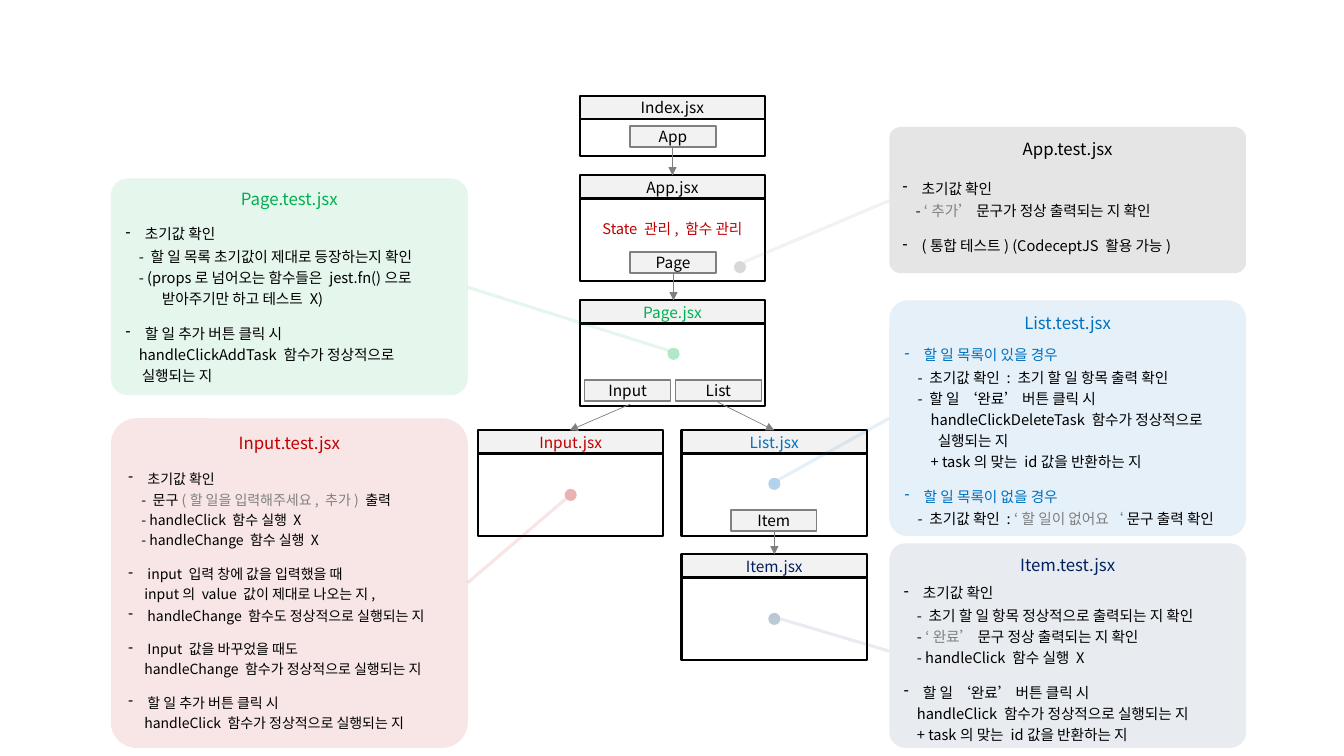
from dataclasses import dataclass
from typing import Optional

import lxml.etree
import pptx
import pptx.dml.color
import pptx.enum.shapes
import pptx.enum.text
import pptx.oxml.ns
import pptx.util

Inches = pptx.util.Inches
Pt = pptx.util.Pt
qn = pptx.oxml.ns.qn
Shapes = pptx.enum.shapes.MSO_SHAPE
Anchor = pptx.enum.text.MSO_ANCHOR
Align = pptx.enum.text.PP_ALIGN


@dataclass(frozen=True)
class Theme:
    font: str = "Noto Sans CJK KR"
    black: str = "000000"
    white: str = "FFFFFF"
    header: str = "F2F2F2"
    gray: str = "808080"
    red: str = "C00000"
    blue: str = "0070C0"
    green: str = "00B050"
    navy: str = "002060"
    steel: str = "1F4E79"
    title: float = 12
    label: float = 11
    body: float = 10.5
    small: float = 10


@dataclass(frozen=True)
class Component:
    name: str
    left: float
    top: float
    color: str
    body_height: float = 0.82
    note: str = ""


@dataclass(frozen=True)
class Chip:
    name: str
    left: float
    top: float


@dataclass(frozen=True)
class Row:
    text: str
    before: float = 0
    indent: float = 0.13
    bullet: bool = False
    color: str = "000000"


@dataclass(frozen=True)
class Panel:
    name: str
    left: float
    top: float
    height: float
    title_top: float
    rows_top: float
    title_color: str
    tint: str
    rows: tuple[Row, ...]
    size: float = 10.5
    pitch: float = 15


@dataclass(frozen=True)
class Callout:
    color: str
    dot: tuple[float, float]
    start: tuple[float, float]
    end: tuple[float, float]


THEME = Theme()
BOX_WIDTH, HEADER_HEIGHT = 1.84, 0.23
CHIP_WIDTH, CHIP_HEIGHT = 0.85, 0.21
PANEL_WIDTH, CORNER, DOT = 3.54, 0.078, 0.12
LEFT, RIGHT, CENTER, LIST_LEFT = 1.1, 8.82, 5.75, 6.76


def rgb(color: str) -> pptx.dml.color.RGBColor:
    return pptx.dml.color.RGBColor.from_string(color)


def head(text: str, before: float = 0, color: str = THEME.black) -> Row:
    return Row(text, before, 0.19, True, color)


def set_alpha(shape, percent: int) -> None:
    color = shape._element.spPr.find(".//" + qn("a:srgbClr"))
    lxml.etree.SubElement(color, qn("a:alpha"), val=str(percent * 1000))


def write(paragraph, text: str, *, size: float, color: str = THEME.black,
          align=Align.CENTER) -> None:
    paragraph.alignment = align
    for index, part in enumerate(text.split("|")):
        run = paragraph.add_run()
        run.text = part
        run.font.size = Pt(size)
        run.font.name = THEME.font
        run.font.color.rgb = rgb(THEME.gray if index % 2 else color)
        lxml.etree.SubElement(run._r.get_or_add_rPr(), qn("a:ea"), typeface=THEME.font)


def add_shape(slide, kind, left: float, top: float, width: float, height: float, *,
              fill: str, line: Optional[str] = None, weight: float = 1.5, alpha: int = 100):
    shape = slide.shapes.add_shape(kind, Inches(left), Inches(top), Inches(width), Inches(height))
    shape.shadow.inherit = False
    shape.fill.solid()
    shape.fill.fore_color.rgb = rgb(fill)
    if line:
        shape.line.color.rgb = rgb(line)
        shape.line.width = Pt(weight)
    else:
        shape.line.fill.background()
    if alpha < 100:
        set_alpha(shape, alpha)
    frame = shape.text_frame
    frame.word_wrap = True
    frame.vertical_anchor = Anchor.MIDDLE
    frame.margin_top = frame.margin_bottom = 0
    return shape


def add_line(slide, start, end, *, color: str, weight: float):
    line = slide.shapes.add_connector(pptx.enum.shapes.MSO_CONNECTOR.STRAIGHT,
                                      *map(Inches, start), *map(Inches, end))
    line.line.color.rgb = rgb(color)
    line.line.width = Pt(weight)
    lxml.etree.SubElement(line._element.spPr, qn("a:effectLst"))
    return line


def draw_component(slide, item: Component) -> None:
    header = add_shape(slide, Shapes.RECTANGLE, item.left, item.top, BOX_WIDTH, HEADER_HEIGHT,
                       fill=THEME.header, line=THEME.black)
    write(header.text_frame.paragraphs[0], item.name, size=THEME.label, color=item.color)
    body = add_shape(slide, Shapes.RECTANGLE, item.left, item.top + HEADER_HEIGHT, BOX_WIDTH,
                     item.body_height, fill=THEME.white, line=THEME.black)
    if item.note:
        body.text_frame.margin_bottom = Inches(0.22)
        write(body.text_frame.paragraphs[0], item.note, size=THEME.body, color=THEME.red)


def draw_chip(slide, chip: Chip) -> None:
    shape = add_shape(slide, Shapes.RECTANGLE, chip.left, chip.top, CHIP_WIDTH, CHIP_HEIGHT,
                      fill=THEME.header, line=THEME.gray, weight=1)
    write(shape.text_frame.paragraphs[0], chip.name, size=THEME.label)


def draw_arrow(slide, start: tuple[float, float], end: tuple[float, float]) -> None:
    arrow = add_line(slide, start, end, color=THEME.gray, weight=0.5)
    outline = arrow._element.spPr.find(qn("a:ln"))
    lxml.etree.SubElement(outline, qn("a:tailEnd"), type="triangle")


def draw_panel(slide, panel: Panel) -> None:
    shape = add_shape(slide, Shapes.ROUNDED_RECTANGLE, panel.left, panel.top, PANEL_WIDTH,
                      panel.height, fill=panel.tint, alpha=10)
    shape.adjustments[0] = CORNER
    frame = shape.text_frame
    frame.vertical_anchor = Anchor.TOP
    corner_inset = 0.29 * CORNER * panel.height
    frame.margin_top = Inches(panel.rows_top - panel.top - corner_inset)
    for index, row in enumerate(panel.rows):
        paragraph = frame.add_paragraph() if index else frame.paragraphs[0]
        write(paragraph, row.text, size=panel.size, color=row.color, align=Align.LEFT)
        paragraph.line_spacing = Pt(panel.pitch)
        paragraph.space_before = Pt(row.before)
        properties = paragraph._p.get_or_add_pPr()
        properties.set("marL", str(Inches(row.indent)))
        properties.set("indent", str(Inches(-row.indent if row.bullet else 0)))
        if row.bullet:
            lxml.etree.SubElement(properties, qn("a:buChar"), char="-")
    title = slide.shapes.add_textbox(Inches(panel.left), Inches(panel.title_top),
                                     Inches(PANEL_WIDTH), Inches(0.3))
    title.text_frame.word_wrap = True
    title.text_frame.vertical_anchor = Anchor.MIDDLE
    write(title.text_frame.paragraphs[0], panel.name, size=THEME.title, color=panel.title_color)


def draw_callout(slide, callout: Callout) -> None:
    add_shape(slide, Shapes.OVAL, *callout.dot, DOT, DOT, fill=callout.color, alpha=30)
    line = add_line(slide, callout.start, callout.end, color=callout.color, weight=2.25)
    set_alpha(line, 10)


COMPONENTS = (
    Component("Index.jsx", CENTER, 0.95, THEME.black, 0.37),
    Component("App.jsx", CENTER, 1.74, THEME.black, note="State 관리, 함수 관리"),
    Component("Input.jsx", 4.74, 4.27, THEME.red),
    Component("List.jsx", LIST_LEFT, 4.27, THEME.blue),
    Component("Page.jsx", CENTER, 2.98, THEME.green),
    Component("Item.jsx", LIST_LEFT, 5.5, THEME.navy),
)
CHIPS = (Chip("App", 6.25, 1.25), Chip("Page", 6.25, 2.5), Chip("Input", 5.8, 3.77),
         Chip("List", 6.7, 3.77), Chip("Item", 7.25, 5.06))
ARROWS = (((6.67, 1.46), (6.67, 1.74)), ((6.68, 2.71), (6.68, 2.98)),
          ((6.25, 4.01), (5.65, 4.27)), ((7.12, 3.99), (7.68, 4.27)),
          ((7.68, 5.28), (7.68, 5.5)))
PANELS = (
    Panel("Input.test.jsx", LEFT, 4.15, 3.27, 4.24, 4.63, THEME.red, THEME.red, (
        head("초기값 확인"),
        Row("- 문구|(할 일을 입력해주세요, 추가) |출력", 1),
        Row("- handleClick 함수 실행 X"), Row("- handleChange 함수 실행 X"),
        head("input 입력 창에 값을 입력했을 때", 9.5),
        Row("input의 value 값이 제대로 나오는 지,", indent=0.16),
        head("handleChange 함수도 정상적으로 실행되는 지", 1),
        head("Input 값을 바꾸었을 때도", 9.5),
        Row("handleChange 함수가 정상적으로 실행되는 지", indent=0.16),
        head("할 일 추가 버튼 클릭 시", 9.5),
        Row("handleClick 함수가 정상적으로 실행되는 지", indent=0.16)), THEME.small, 14.4),
    Panel("Item.test.jsx", RIGHT, 5.39, 2.03, 5.45, 5.76, THEME.navy, THEME.steel, (
        head("초기값 확인"), Row("- 초기 할 일 항목 정상적으로 출력되는 지 확인", 1),
        Row("- |‘완료’ |문구 정상 출력되는 지 확인"), Row("- handleClick 함수 실행 X"),
        head("할 일 ‘완료’ 버튼 클릭 시", 10),
        Row("handleClick 함수가 정상적으로 실행되는 지"),
        Row("+ task의 맞는 id값을 반환하는 지"))),
    Panel("App.test.jsx", RIGHT, 1.26, 1.45, 1.33, 1.75, THEME.black, THEME.black, (
        head("초기값 확인"), Row("- |‘추가’ |문구가 정상 출력되는 지 확인", 1),
        head("(통합 테스트) (CodeceptJS 활용 가능)", 10))),
    Panel("Page.test.jsx", LEFT, 1.77, 2.15, 1.82, 2.2, THEME.green, THEME.green, (
        head("초기값 확인"), Row("- 할 일 목록 초기값이 제대로 등장하는지 확인", 1),
        Row("- (props로 넘어오는 함수들은 jest.fn()으로"),
        Row("받아주기만 하고 테스트 X)", indent=0.36),
        head("할 일 추가 버튼 클릭 시", 10),
        Row("handleClickAddTask 함수가 정상적으로"), Row("실행되는 지", indent=0.16))),
    Panel("List.test.jsx", RIGHT, 2.98, 2.34, 3.05, 3.4, THEME.blue, THEME.blue, (
        head("할 일 목록이 있을 경우", color=THEME.blue),
        Row("- 초기값 확인 : 초기 할 일 항목 출력 확인", 1),
        Row("- 할 일 ‘완료’ 버튼 클릭 시"),
        Row("handleClickDeleteTask 함수가 정상적으로", indent=0.26),
        Row("실행되는 지", indent=0.33), Row("+ task의 맞는 id값을 반환하는 지", indent=0.26),
        head("할 일 목록이 없을 경우", 10, THEME.blue),
        Row("- 초기값 확인 : |‘할 일이 없어요‘ |문구 출력 확인", 1))),
)
CALLOUTS = (
    Callout(THEME.red, (5.6, 4.85), (5.61, 4.95), (4.64, 5.78)),
    Callout(THEME.steel, (7.62, 6.08), (7.74, 6.14), (8.82, 6.46)),
    Callout(THEME.blue, (7.62, 4.74), (7.72, 4.76), (8.82, 4.15)),
    Callout(THEME.green, (6.62, 3.45), (6.64, 3.48), (4.64, 2.85)),
    Callout(THEME.gray, (7.28, 2.59), (7.38, 2.6), (8.82, 1.99)),
)

presentation = pptx.Presentation()
presentation.slide_width, presentation.slide_height = Inches(13.33), Inches(7.5)
slide = presentation.slides.add_slide(presentation.slide_layouts[6])
for component in COMPONENTS:
    draw_component(slide, component)
for chip in CHIPS:
    draw_chip(slide, chip)
for start, end in ARROWS:
    draw_arrow(slide, start, end)
for panel in PANELS:
    draw_panel(slide, panel)
for callout in CALLOUTS:
    draw_callout(slide, callout)
presentation.save("out.pptx")
